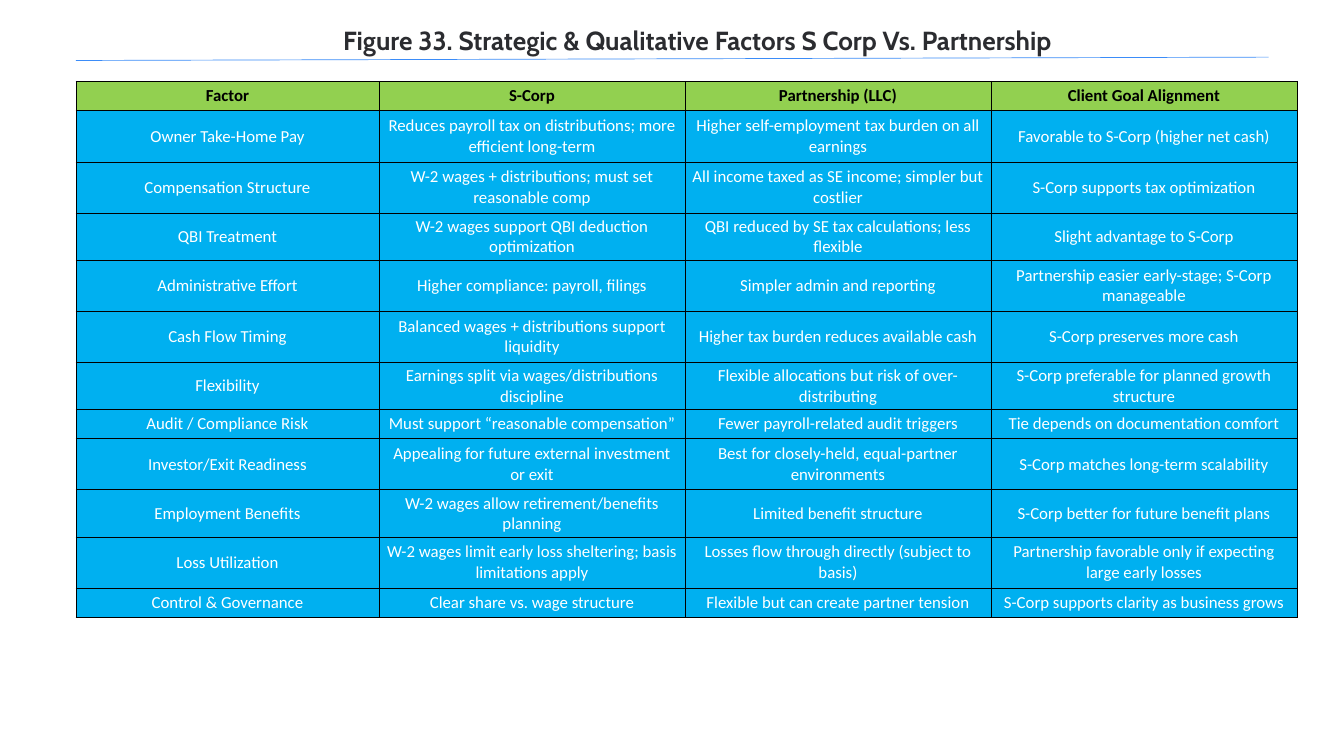
from lxml.etree import SubElement
from pptx import Presentation
from pptx.dml.color import RGBColor
from pptx.enum.shapes import MSO_CONNECTOR
from pptx.enum.text import MSO_ANCHOR, MSO_AUTO_SIZE, PP_ALIGN
from pptx.oxml.ns import qn
from pptx.util import Inches, Pt

BLACK = RGBColor(0x00, 0x00, 0x00)
WHITE = RGBColor(0xFF, 0xFF, 0xFF)
INK = RGBColor(0x2B, 0x2C, 0x30)
RULE_BLUE = RGBColor(0x3B, 0x8C, 0xF8)
HEADER_GREEN = RGBColor(0x92, 0xD0, 0x50)
BODY_BLUE = RGBColor(0x00, 0xB0, 0xF0)

TITLE = "Figure 33. Strategic & Qualitative Factors S Corp Vs. Partnership"
SHORT, TALL = 0.44, 0.76
FACTOR_WIDTH = 4.51

FACTORS = [
    (SHORT, "Factor", "S-Corp", "Partnership (LLC)", "Client Goal Alignment"),
    (TALL, "Owner Take-Home Pay",
     "Reduces payroll tax on distributions; more efficient long-term",
     "Higher self-employment tax burden on all earnings",
     "Favorable to S-Corp (higher net cash)"),
    (TALL, "Compensation Structure",
     "W-2 wages + distributions; must set reasonable comp",
     "All income taxed as SE income; simpler but costlier",
     "S-Corp supports tax optimization"),
    (SHORT, "QBI Treatment",
     "W-2 wages support QBI deduction optimization",
     "QBI reduced by SE tax calculations; less flexible",
     "Slight advantage to S-Corp"),
    (TALL, "Administrative Effort",
     "Higher compliance: payroll, filings",
     "Simpler admin and reporting",
     "Partnership easier early-stage; S-Corp manageable"),
    (TALL, "Cash Flow Timing",
     "Balanced wages + distributions support liquidity",
     "Higher tax burden reduces available cash",
     "S-Corp preserves more cash"),
    (SHORT, "Flexibility",
     "Earnings split via wages/distributions discipline",
     "Flexible allocations but risk of over-distributing",
     "S-Corp preferable for planned growth structure"),
    (SHORT, "Audit / Compliance Risk",
     "Must support “reasonable compensation”",
     "Fewer payroll-related audit triggers",
     "Tie depends on documentation comfort"),
    (TALL, "Investor/Exit Readiness",
     "Appealing for future external investment or exit",
     "Best for closely-held, equal-partner environments",
     "S-Corp matches long-term scalability"),
    (SHORT, "Employment Benefits",
     "W-2 wages allow retirement/benefits planning",
     "Limited benefit structure",
     "S-Corp better for future benefit plans"),
    (TALL, "Loss Utilization",
     "W-2 wages limit early loss sheltering; basis limitations apply",
     "Losses flow through directly (subject to basis)",
     "Partnership favorable only if expecting large early losses"),
    (SHORT, "Control & Governance",
     "Clear share vs. wage structure",
     "Flexible but can create partner tension",
     "S-Corp supports clarity as business grows"),
]


def style_paragraph(paragraph, font_name, size, color, bold):
    paragraph.alignment = PP_ALIGN.CENTER
    font = paragraph.font
    font.name, font.size, font.bold = font_name, Pt(size), bold
    font.color.rgb = color


def add_header_rule(slide, left, top, width, rise):
    rule = slide.shapes.add_connector(
        MSO_CONNECTOR.STRAIGHT, Inches(left), Inches(top),
        Inches(left + width), Inches(top - rise))
    rule.line.color.rgb = RULE_BLUE
    rule.line.width = Pt(0.75)
    SubElement(rule.element.spPr, qn("a:effectLst"))


def add_title(slide, left, top, width, height):
    title = slide.shapes.add_textbox(
        Inches(left), Inches(top), Inches(width), Inches(height))
    frame = title.text_frame
    frame.word_wrap = True
    frame.auto_size = MSO_AUTO_SIZE.SHAPE_TO_FIT_TEXT
    frame.margin_left = frame.margin_right = 0
    frame.margin_top = frame.margin_bottom = 0
    paragraph = frame.paragraphs[0]
    paragraph.text = TITLE
    paragraph.line_spacing = Pt(39.2)
    style_paragraph(paragraph, "Cabin", 28, INK, True)


def add_cell_borders(cell):
    properties = cell._tc.get_or_add_tcPr()
    for side in ("a:lnL", "a:lnR", "a:lnT", "a:lnB"):
        border = SubElement(properties, qn(side), w=str(Pt(1)))
        fill = SubElement(border, qn("a:solidFill"))
        SubElement(fill, qn("a:srgbClr"), val=str(BLACK))


def add_factor_table(slide, left, top, width, height):
    table = slide.shapes.add_table(
        len(FACTORS), 4, Inches(left), Inches(top),
        Inches(width), Inches(height)).table
    table.columns[0].width = Inches(FACTOR_WIDTH)
    for column in list(table.columns)[1:]:
        column.width = Inches((width - FACTOR_WIDTH) / 3)
    for row_index, (row, (row_height, *texts)) in enumerate(zip(table.rows, FACTORS)):
        is_header = row_index == 0
        row.height = Inches(row_height)
        for cell, text in zip(row.cells, texts):
            add_cell_borders(cell)
            cell.fill.solid()
            cell.fill.fore_color.rgb = HEADER_GREEN if is_header else BODY_BLUE
            cell.vertical_anchor = MSO_ANCHOR.MIDDLE
            cell.text = text
            style_paragraph(cell.text_frame.paragraphs[0], "Calibri", 18,
                            BLACK if is_header else WHITE, is_header)


def main():
    presentation = Presentation()
    presentation.slide_width = Inches(20)
    presentation.slide_height = Inches(11.25)
    slide = presentation.slides.add_slide(presentation.slide_layouts[6])
    add_header_rule(slide, 1.13, 0.9, 17.75, 0.05)
    add_title(slide, 3.29, 0.29, 14.17, 0.51)
    add_factor_table(slide, 1.13, 1.21, 18.17, 7.98)
    presentation.save("out.pptx")


if __name__ == "__main__":
    main()
